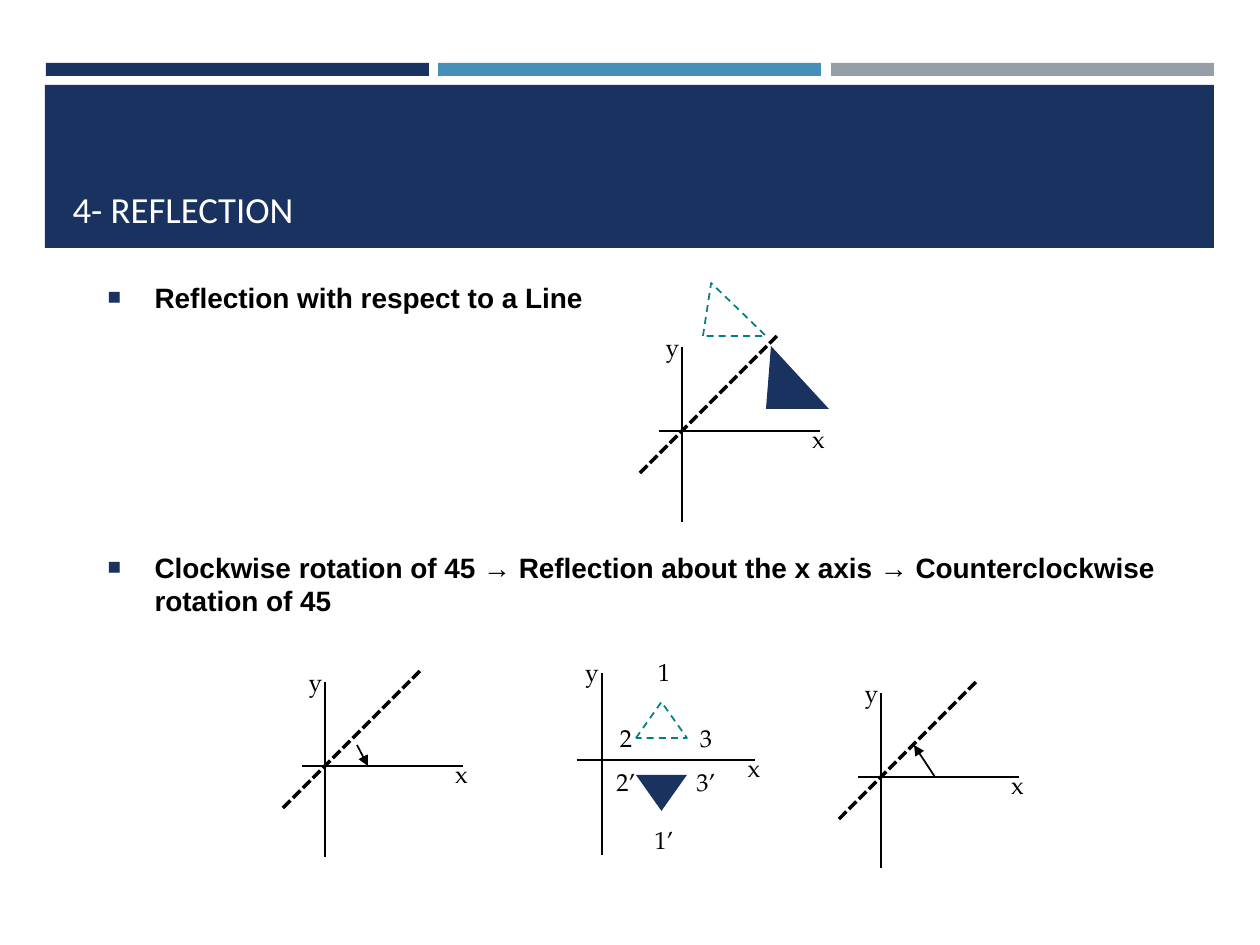
from lxml import etree
from pptx import Presentation
from pptx.dml.color import RGBColor
from pptx.enum.dml import MSO_LINE
from pptx.enum.shapes import MSO_CONNECTOR, MSO_SHAPE
from pptx.enum.text import MSO_ANCHOR, MSO_AUTO_SIZE, PP_ALIGN
from pptx.oxml.ns import qn
from pptx.util import Emu, Pt

PX = 914400 / 126
STRAIGHT = MSO_CONNECTOR.STRAIGHT
RECT, TRIANGLE = MSO_SHAPE.RECTANGLE, MSO_SHAPE.ISOSCELES_TRIANGLE
DASH, DOT = MSO_LINE.DASH, MSO_LINE.SQUARE_DOT
BOTTOM, MIDDLE = MSO_ANCHOR.BOTTOM, MSO_ANCHOR.MIDDLE
LEFT, CENTER = PP_ALIGN.LEFT, PP_ALIGN.CENTER
NO_FIT = MSO_AUTO_SIZE.NONE

COLORS = {
    "navy": "1A3260", "blue": "4590B8", "gray": "969FA7",
    "teal": "008080", "black": "000000", "white": "FFFFFF",
}


def px(n):
    return Emu(round(n * PX))


def color(name):
    return RGBColor.from_string(COLORS[name])


def place(shape, x, y, w, h):
    shape.left, shape.top, shape.width, shape.height = map(px, (x, y, w, h))


def style(font, face, size, ink, bold=False):
    font.name, font.size, font.bold = face, Pt(size), bold
    font.color.rgb = color(ink)


def add_solid(shapes, kind, box, fill):
    shape = shapes.add_shape(kind, *map(px, box))
    shape.shadow.inherit = False
    shape.fill.solid()
    shape.fill.fore_color.rgb = color(fill)
    shape.line.fill.background()
    return shape


def add_dashed(shapes, box):
    shape = shapes.add_shape(TRIANGLE, *map(px, box))
    shape.shadow.inherit = False
    shape.fill.background()
    shape.line.color.rgb = color("teal")
    shape.line.width = Pt(1)
    shape.line.dash_style = DASH
    return shape


def add_line(shapes, start, end, width=1, dash=None, arrow=False):
    line = shapes.add_connector(STRAIGHT, *map(px, start + end))
    line.line.color.rgb = color("black")
    line.line.width = Pt(width)
    if dash:
        line.line.dash_style = dash
    props = line.element.spPr
    if arrow:
        etree.SubElement(props.find(qn("a:ln")), qn("a:tailEnd"), type="triangle")
    etree.SubElement(props, qn("a:effectLst"))


def add_label(shapes, text, x, y, w=43):
    box = shapes.add_textbox(*map(px, (x, y, w, 42)))
    frame = box.text_frame
    frame.margin_left = frame.margin_right = 0
    frame.word_wrap = True
    frame.vertical_anchor = MIDDLE
    frame.text = text
    para = frame.paragraphs[0]
    para.alignment = CENTER
    style(para.runs[0].font, "TeX Gyre Pagella", 14, "black")


def add_axes(shapes, x, y):
    """Axes and their names around the origin (x, y)."""
    group = shapes.add_group_shape().shapes
    add_line(group, (x - 23, y), (x + 138, y))
    add_line(group, (x, y + 91), (x, y - 84))
    add_label(group, "x", x + 115, y - 13)
    add_label(group, "y", x - 31, y - 105)


def add_mirror(shapes, x, y):
    """Axes with the slanted mirror line through the origin."""
    add_axes(shapes, x, y)
    add_line(shapes, (x - 42, y + 42), (x + 95, y - 95), 2, DOT)


def add_flip(shapes):
    """Triangle and its reflection about the x axis."""
    group = shapes.add_group_shape().shapes
    add_line(group, (577, 760), (755, 760))
    add_line(group, (602, 855), (602, 673))
    add_dashed(group, (636, 702, 51, 36))
    image = add_solid(group, TRIANGLE, (636, 775, 51, 36), "navy")
    image.element.spPr.xfrm.set("flipV", "1")
    labels = [
        ("x", 730, 747), ("y", 568, 651),
        ("1", 640, 651), ("2", 602, 717), ("3", 682, 717),
        ("1’", 640, 819), ("2’", 602, 761), ("3’", 682, 761),
    ]
    for text, x, y in labels:
        add_label(group, text, x, y, 48)


def add_bullet(para):
    props = para._p.get_or_add_pPr()
    props.set("marL", str(px(47)))
    props.set("indent", str(-px(47)))
    tint = etree.SubElement(props, qn("a:buClr"))
    etree.SubElement(tint, qn("a:srgbClr"), val=COLORS["navy"])
    etree.SubElement(props, qn("a:buSzPct"), val="80000")
    etree.SubElement(props, qn("a:buFont"), typeface="Arial")
    etree.SubElement(props, qn("a:buChar"), char="■")


def fill_title(title):
    place(title, 60, 97, 1140, 140)
    frame = title.text_frame
    frame.auto_size = NO_FIT
    frame.vertical_anchor = BOTTOM
    frame.text = "4- REFLECTION"
    para = frame.paragraphs[0]
    para.alignment = LEFT
    style(para.runs[0].font, "Calibri", 21, "white")


def fill_body(body):
    place(body, 95, 274, 1102, 588)
    frame = body.text_frame
    frame.auto_size = NO_FIT
    frame.text = (
        "Reflection with respect to a Line\n"
        "Clockwise rotation of 45 → Reflection about the x axis → "
        "Counterclockwise rotation of 45"
    )
    for para, gap in zip(frame.paragraphs, (0, 135)):
        add_bullet(para)
        para.space_before = Pt(gap)
        style(para.runs[0].font, "Arial", 16, "black", True)


def main():
    deck = Presentation()
    deck.slide_width, deck.slide_height = px(1260), px(945)
    slide = deck.slides.add_slide(deck.slide_layouts[1])
    shapes = slide.shapes

    # Header bars and band
    for i, fill in enumerate(("navy", "blue", "gray")):
        add_solid(shapes, RECT, (46 + i * 785 // 2, 63, 383, 13), fill)
    add_solid(shapes, RECT, (45, 85, 1169, 163), "navy")

    # Title and list, brought in front of the band
    title, body = shapes.title, slide.placeholders[1]
    fill_title(title)
    fill_body(body)
    for holder in (body, title):
        holder.element.getparent().append(holder.element)

    # Steps: rotate, reflect, rotate back
    add_flip(shapes)
    add_mirror(shapes, 325, 766)
    add_line(shapes, (357, 745), (368, 766), arrow=True)
    add_mirror(shapes, 881, 777)
    add_line(shapes, (935, 777), (914, 745), arrow=True)

    # Reflection about the slanted line
    add_mirror(shapes, 682, 431)
    before = add_dashed(shapes, (703, 283, 63, 53))
    before.adjustments[0] = 0.13
    after = add_solid(shapes, TRIANGLE, (766, 346, 63, 63), "navy")
    after.adjustments[0] = 0.08

    deck.save("out.pptx")


if __name__ == "__main__":
    main()
